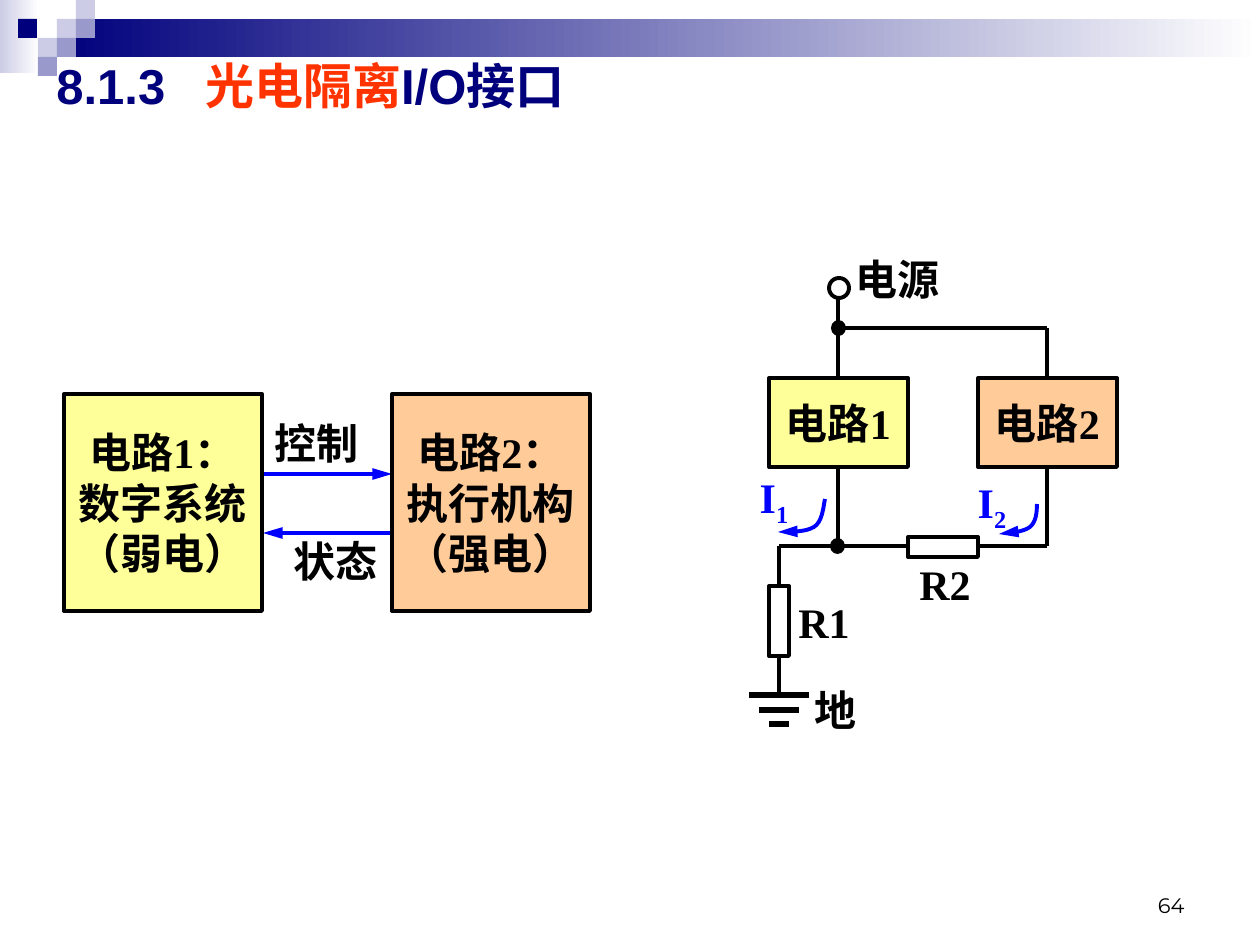
from lxml.etree import SubElement
from pptx import Presentation
from pptx.dml.color import RGBColor
from pptx.enum.shapes import MSO_CONNECTOR, MSO_SHAPE
from pptx.enum.text import MSO_ANCHOR, PP_ALIGN
from pptx.oxml.ns import qn
from pptx.util import Pt

PX = 914400 / 126


class Theme:
    navy, red, blue, black, white = "00007D", "FF3300", "0000FF", "000000", "FFFFFF"
    pale, mid, yellow, peach = "CCCCE6", "9999CC", "FFFF99", "FFCC99"
    head, body, note = 28, 24, 12
    sans, serif, page = "Arial", "Times New Roman", "Montserrat"
    thin, thick = 2.25, 3


def emu(*sizes):
    return [round(size * PX) for size in sizes]


def write(shape, text, color=Theme.black, size=Theme.body, face=Theme.serif,
          bold=True, align=PP_ALIGN.CENTER, anchor=MSO_ANCHOR.TOP, wrap=True, sub=False):
    frame = shape.text_frame
    frame.word_wrap = wrap
    frame.vertical_anchor = anchor
    for row, part in enumerate(text.split("\n")):
        para = frame.add_paragraph() if row else frame.paragraphs[-1]
        para.alignment = align
        run = para.add_run()
        run.text = part
        font = run.font
        font.name, font.size, font.bold = face, Pt(size), bold
        font.color.rgb = RGBColor.from_string(color)
        if sub:
            run._r.get_or_add_rPr().set("baseline", "-25000")


deck = Presentation()
deck.slide_width, deck.slide_height = emu(1260, 945)
slide = deck.slides.add_slide(deck.slide_layouts[6])
shapes = slide.shapes

for box, start in [((0, 0, 39, 73), Theme.pale), ((57, 19, 1203, 38), Theme.navy)]:
    band = shapes.add_shape(MSO_SHAPE.RECTANGLE, *emu(*box))
    band.shadow.inherit = False
    band.line.fill.background()
    band.fill.gradient()
    band.fill.gradient_angle = 0
    for stop, color in zip(band.fill.gradient_stops, (start, Theme.white)):
        stop.color.rgb = RGBColor.from_string(color)

for x, y, color in [
    (57, 19, Theme.pale), (76, 0, Theme.pale), (76, 19, Theme.mid),
    (38, 38, Theme.pale), (18, 19, Theme.navy), (57, 38, Theme.mid),
    (38, 57, Theme.mid),
]:
    tile = shapes.add_shape(MSO_SHAPE.RECTANGLE, *emu(x, y, 19, 19))
    tile.shadow.inherit = False
    tile.fill.solid()
    tile.fill.fore_color.rgb = RGBColor.from_string(color)
    tile.line.fill.background()

number = shapes.add_textbox(*emu(903, 861, 294, 63))
write(number, "64", size=Theme.note, face=Theme.page, bold=False,
      align=PP_ALIGN.RIGHT, anchor=MSO_ANCHOR.BOTTOM)

title = shapes.add_textbox(*emu(44, 45, 1181, 79))
for text, color in [("8.1.3\t", Theme.navy), ("光电隔离", Theme.red), ("I/O接口", Theme.navy)]:
    write(title, text, color=color, size=Theme.head, face=Theme.sans,
          align=PP_ALIGN.LEFT, anchor=MSO_ANCHOR.MIDDLE)
props = title.text_frame.paragraphs[0]._p.get_or_add_pPr()
tabs = SubElement(props, qn("a:tabLst"))
SubElement(tabs, qn("a:tab"), pos=str(emu(149)[0]), algn="l")

arrows = []
for x1, y1, x2, y2, color, width in [
    (263, 474, 392, 474, Theme.blue, Theme.thin),
    (392, 533, 263, 533, Theme.blue, Theme.thin),
    (838, 299, 838, 378, Theme.black, Theme.thin),
    (838, 328, 1047, 328, Theme.black, Theme.thin),
    (1047, 328, 1047, 378, Theme.black, Theme.thin),
    (1047, 467, 1047, 546, Theme.black, Theme.thin),
    (978, 546, 1047, 546, Theme.black, Theme.thin),
    (779, 546, 908, 546, Theme.black, Theme.thin),
    (838, 467, 838, 546, Theme.black, Theme.thin),
    (779, 546, 779, 586, Theme.black, Theme.thin),
    (779, 656, 779, 695, Theme.black, Theme.thin),
    (749, 695, 809, 695, Theme.black, Theme.thick),
    (759, 710, 799, 710, Theme.black, Theme.thick),
    (769, 724, 789, 724, Theme.black, Theme.thick),
]:
    wire = shapes.add_connector(MSO_CONNECTOR.STRAIGHT, *emu(x1, y1, x2, y2))
    wire.line.color.rgb = RGBColor.from_string(color)
    wire.line.width = Pt(width)
    SubElement(wire._element.spPr, qn("a:effectLst"))
    if color == Theme.blue:
        arrows.append(wire)

for kind, box, color, text in [
    (MSO_SHAPE.RECTANGLE, (64, 394, 198, 217), Theme.yellow, "电路1：\n数字系统\n（弱电）"),
    (MSO_SHAPE.RECTANGLE, (392, 394, 198, 217), Theme.peach, "电路2：\n执行机构\n（强电）"),
    (MSO_SHAPE.RECTANGLE, (769, 378, 139, 89), Theme.yellow, "电路1"),
    (MSO_SHAPE.RECTANGLE, (978, 378, 139, 89), Theme.peach, "电路2"),
    (MSO_SHAPE.RECTANGLE, (908, 537, 70, 20), None, ""),
    (MSO_SHAPE.RECTANGLE, (769, 586, 20, 70), None, ""),
    (MSO_SHAPE.OVAL, (829, 278, 20, 20), None, ""),
    (MSO_SHAPE.OVAL, (831, 320, 15, 16), Theme.black, ""),
    (MSO_SHAPE.OVAL, (830, 538, 15, 16), Theme.black, ""),
]:
    part = shapes.add_shape(kind, *emu(*box))
    part.shadow.inherit = False
    if color:
        part.fill.solid()
        part.fill.fore_color.rgb = RGBColor.from_string(color)
    else:
        part.fill.background()
    if color == Theme.black:
        part.line.fill.background()
    else:
        part.line.color.rgb = RGBColor.from_string(Theme.black)
        part.line.width = Pt(Theme.thin)
    if text:
        write(part, text, anchor=MSO_ANCHOR.MIDDLE, wrap=False)

STEPS = 8
for curve in [
    [(825, 499), (823, 510), (822, 522), (814, 527), (806, 532), (791, 532), (778, 532)],
    [(1037, 504), (1037, 513), (1036, 522), (1030, 527), (1023, 532), (1011, 533), (999, 534)],
]:
    points = []
    for first in (0, 3):
        for step in range(1, STEPS + 1):
            t = step / STEPS
            parts = ((1 - t) ** 3, 3 * t * (1 - t) ** 2, 3 * t * t * (1 - t), t ** 3)
            knots = curve[first:first + 4]
            points.append(tuple(sum(w * knot[axis] for w, knot in zip(parts, knots))
                                for axis in (0, 1)))
    pen = shapes.build_freeform(*emu(*curve[0]), scale=1.0)
    pen.add_line_segments([emu(*point) for point in points], close=False)
    bend = pen.convert_to_shape()
    bend.shadow.inherit = False
    bend.fill.background()
    bend.line.color.rgb = RGBColor.from_string(Theme.blue)
    bend.line.width = Pt(Theme.thin)
    arrows.append(bend)

for arrow in arrows:
    SubElement(arrow.line._get_or_add_ln(), qn("a:tailEnd"), type="triangle", w="med", len="lg")

for text, x, y, width, color, sub in [
    ("控制", 253, 411, 128, Theme.black, ""),
    ("状态", 272, 529, 128, Theme.black, ""),
    ("I", 736, 465, 76, Theme.blue, "1"),
    ("I", 954, 470, 76, Theme.blue, "2"),
    ("R2", 906, 552, 78, Theme.black, ""),
    ("R1", 785, 590, 78, Theme.black, ""),
    ("地", 797, 678, 78, Theme.black, ""),
    ("电源", 839, 247, 117, Theme.black, ""),
]:
    label = shapes.add_textbox(*emu(x, y, width, 63))
    write(label, text, color=color)
    if sub:
        write(label, sub, color=color, sub=True)

deck.save("out.pptx")
